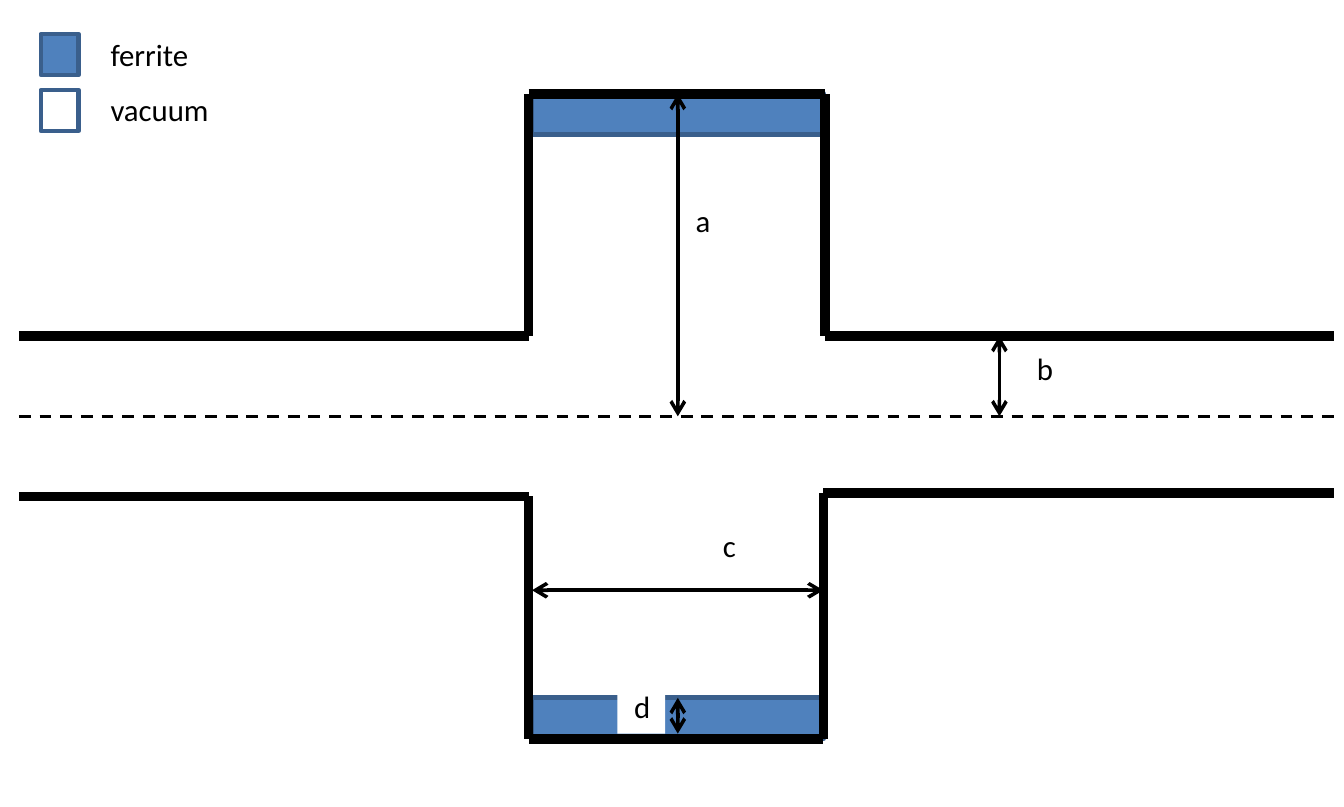
from lxml import etree
from pptx import Presentation
from pptx.dml.color import RGBColor
from pptx.enum.dml import MSO_LINE
from pptx.enum.shapes import MSO_CONNECTOR, MSO_SHAPE
from pptx.enum.text import MSO_ANCHOR, MSO_AUTO_SIZE, PP_ALIGN
from pptx.oxml.ns import qn
from pptx.util import Pt

STRAIGHT = MSO_CONNECTOR.STRAIGHT
RECTANGLE = MSO_SHAPE.RECTANGLE
DASH = MSO_LINE.DASH
TOP = MSO_ANCHOR.TOP
LEFT = PP_ALIGN.LEFT
GROW = MSO_AUTO_SIZE.SHAPE_TO_FIT_TEXT

BLACK, WHITE, FERRITE, EDGE = "000000", "FFFFFF", "4F81BD", "3A5F8C"
PIPE_LEFT, PIPE_RIGHT, AXIS = 8, 563, 175.7
CAVITY_LEFT, CAVITY_RIGHT, CAVITY_TOP, CAVITY_BOTTOM = 223.2, 348.3, 39.6, 311.8
LOWER_RIGHT = 347.6
PIPE_TOP, PIPE_BOTTOM_LEFT, PIPE_BOTTOM_RIGHT = 141.8, 209.5, 208.1
FERRITE_LEFT, FERRITE_WIDTH, FERRITE_HEIGHT = 224.6, 123.1, 17.3
FERRITE_MIDDLE = FERRITE_LEFT + FERRITE_WIDTH / 2


def color(value):
    """Return the colour for a hex string."""
    return RGBColor.from_string(value)


def add_box(slide, left, top, width, height, fill, edge=None):
    """Add a filled rectangle, outlined when an edge colour is given."""
    shape = slide.shapes.add_shape(RECTANGLE, Pt(left), Pt(top), Pt(width), Pt(height))
    shape.shadow.inherit = False
    shape.fill.solid()
    shape.fill.fore_color.rgb = color(fill)
    if edge:
        shape.line.color.rgb = color(edge)
        shape.line.width = Pt(2)
    else:
        shape.line.fill.background()
    return shape


def set_text(shape, text, wrap=False):
    """Write one left-aligned label into a shape."""
    frame = shape.text_frame
    frame.word_wrap = wrap
    frame.auto_size = GROW
    frame.vertical_anchor = TOP
    paragraph = frame.paragraphs[0]
    paragraph.text = text
    paragraph.alignment = LEFT
    paragraph.font.name = "Calibri"
    paragraph.font.size = Pt(13)
    paragraph.font.color.rgb = color(BLACK)


def add_label(slide, text, left, top, width, height):
    """Add a text box holding one label."""
    set_text(slide.shapes.add_textbox(Pt(left), Pt(top), Pt(width), Pt(height)), text)


def add_line(slide, start, end, width):
    """Add a straight black line between two points."""
    connector = slide.shapes.add_connector(STRAIGHT, *map(Pt, start + end))
    connector.line.color.rgb = color(BLACK)
    connector.line.width = Pt(width)
    etree.SubElement(connector.element.spPr, qn("a:effectLst"))
    return connector


def add_dimension(slide, start, end):
    """Add a dimension line with an open arrowhead at both ends."""
    connector = add_line(slide, start, end, 1.5)
    outline = connector.element.spPr.find(qn("a:ln"))
    for name in ("a:headEnd", "a:tailEnd"):
        etree.SubElement(outline, qn(name), type="arrow")
    return connector


def add_walls(slide):
    """Draw the pipe and cavity walls."""
    upper = [(PIPE_LEFT, PIPE_TOP), (CAVITY_LEFT, PIPE_TOP), (CAVITY_LEFT, CAVITY_TOP),
             (CAVITY_RIGHT, CAVITY_TOP), (CAVITY_RIGHT, PIPE_TOP), (PIPE_RIGHT, PIPE_TOP)]
    lower = [(PIPE_LEFT, PIPE_BOTTOM_LEFT), (CAVITY_LEFT, PIPE_BOTTOM_LEFT),
             (CAVITY_LEFT, CAVITY_BOTTOM), (LOWER_RIGHT, CAVITY_BOTTOM),
             (LOWER_RIGHT, PIPE_BOTTOM_RIGHT), (PIPE_RIGHT, PIPE_BOTTOM_RIGHT)]
    for corners in (upper, lower):
        for start, end in zip(corners, corners[1:]):
            add_line(slide, start, end, 4)


def add_legend(slide):
    """Draw the material key."""
    for row, (name, fill, width) in enumerate((("ferrite", FERRITE, 47.5), ("vacuum", WHITE, 56.2))):
        add_box(slide, 17.3, 14.4 + row * 23.6, 15.8, 17.3, fill, EDGE)
        add_label(slide, name, 39.6, 11.5 + row * 23.1, width, 23)


def main():
    """Build the cavity diagram and save it."""
    presentation = Presentation()
    presentation.slide_width, presentation.slide_height = Pt(567.36), Pt(340.56)
    slide = presentation.slides.add_slide(presentation.slide_layouts[6])

    lower_ferrite, upper_ferrite = [
        add_box(slide, FERRITE_LEFT, top, FERRITE_WIDTH, FERRITE_HEIGHT, FERRITE, EDGE)
        for top in (CAVITY_BOTTOM - FERRITE_HEIGHT, CAVITY_TOP)]
    add_walls(slide)

    radius = add_dimension(slide, (FERRITE_MIDDLE, CAVITY_TOP), (FERRITE_MIDDLE, AXIS))
    radius.begin_connect(upper_ferrite, 0)
    add_dimension(slide, (421.9, PIPE_TOP), (421.9, AXIS))
    add_dimension(slide, (LOWER_RIGHT, 249.1), (FERRITE_LEFT, 249.1))
    axis = add_line(slide, (PIPE_LEFT, AXIS), (PIPE_RIGHT, AXIS), 1.25)
    axis.line.dash_style = DASH
    for text, left, top in (("a", 286.6, 81.4), ("b", 430.6, 144), ("c", 298.1, 218.9)):
        add_label(slide, text, left, top, 23, 28.8)

    thickness = add_dimension(slide, (FERRITE_MIDDLE, 294.5), (FERRITE_MIDDLE, 309.6))
    thickness.begin_connect(lower_ferrite, 0)
    set_text(add_box(slide, 260.6, 286.6, 20.2, 23, WHITE), "d", wrap=True)
    add_legend(slide)
    presentation.save("out.pptx")


if __name__ == "__main__":
    main()
